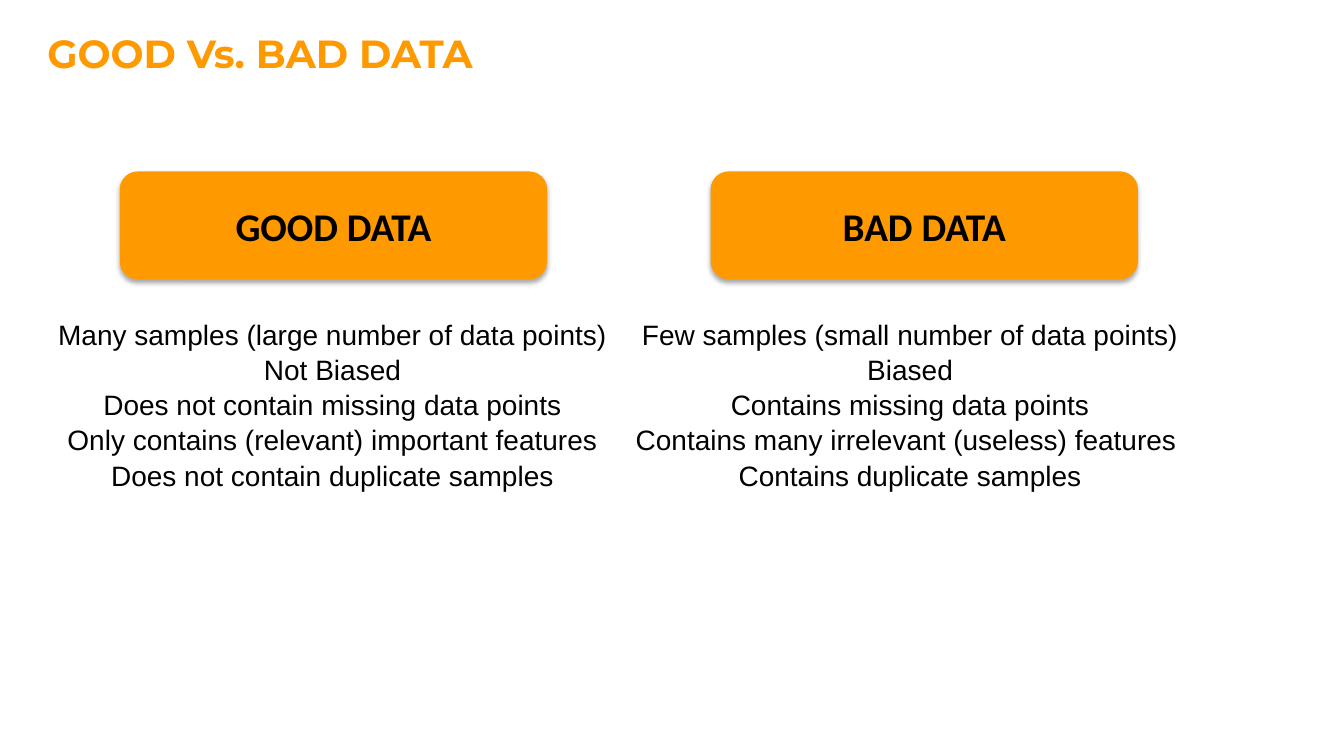
from lxml import etree
from pptx import Presentation
from pptx.dml.color import RGBColor
from pptx.enum.shapes import MSO_SHAPE
from pptx.enum.text import MSO_ANCHOR, MSO_AUTO_SIZE, PP_ALIGN
from pptx.oxml.ns import qn
from pptx.util import Cm, Pt

ROUNDED = MSO_SHAPE.ROUNDED_RECTANGLE
TOP, MIDDLE = MSO_ANCHOR.TOP, MSO_ANCHOR.MIDDLE
LEFT, CENTER = PP_ALIGN.LEFT, PP_ALIGN.CENTER
FIXED_SIZE = MSO_AUTO_SIZE.NONE
TWO_CONTENT_LAYOUT = 3

COLORS = {"accent": "FF9900", "text": "000000", "shadow": "000000"}

# heading, heading left, list left, list width (cm), points
COLUMNS = [
    ("GOOD DATA", 3.02, -0.18, 17.12, [
        "Many samples (large number of data points)",
        "Not Biased",
        "Does not contain missing data points",
        "Only contains (relevant) important features",
        "Does not contain duplicate samples",
    ]),
    ("BAD DATA", 17.91, 15.01, 15.85, [
        "Few samples (small number of data points)",
        "Biased",
        "Contains missing data points",
        "Contains many irrelevant (useless) features ",
        "Contains duplicate samples",
    ]),
]


def color(name):
    return RGBColor.from_string(COLORS[name])


def place(shape, left, top, width, height):
    shape.left, shape.top = Cm(left), Cm(top)
    shape.width, shape.height = Cm(width), Cm(height)


def style(paragraph, font_name, size, color_name, align, bold=False):
    paragraph.alignment = align
    font = paragraph.font
    font.name, font.size, font.bold = font_name, Pt(size), bold
    font.color.rgb = color(color_name)


def add_soft_shadow(shape):
    shape.shadow.inherit = False
    effects = shape._element.spPr.find(qn("a:effectLst"))
    shadow = etree.SubElement(
        effects, qn("a:outerShdw"), blurRad=str(Pt(3.5)), dist=str(Pt(2.2)),
        dir="5400000", rotWithShape="0")
    shade = etree.SubElement(shadow, qn("a:srgbClr"), val=COLORS["shadow"])
    etree.SubElement(shade, qn("a:alpha"), val="32000")


def fill_title(title, text):
    place(title, 0.94, 0.61, 27.31, 1.45)
    frame = title.text_frame
    frame.text = text
    frame.auto_size = FIXED_SIZE
    frame.vertical_anchor = TOP
    style(frame.paragraphs[0], "Montserrat", 28, "accent", LEFT, bold=True)


def add_heading(slide, text, left):
    heading = slide.shapes.add_shape(
        ROUNDED, Cm(left), Cm(4.32), Cm(10.77), Cm(2.72))
    heading.fill.solid()
    heading.fill.fore_color.rgb = color("accent")
    heading.line.fill.background()
    add_soft_shadow(heading)
    frame = heading.text_frame
    frame.text = text
    frame.vertical_anchor = MIDDLE
    style(frame.paragraphs[0], "Calibri", 28, "text", CENTER, bold=True)


def fill_list(body, points, left, width):
    place(body, left, 7.82, width, 4.52)
    frame = body.text_frame
    frame.text = "\n".join(points)
    frame.auto_size = FIXED_SIZE
    frame.vertical_anchor = TOP
    for paragraph in frame.paragraphs:
        properties = paragraph._p.get_or_add_pPr()
        properties.set("marL", "0")
        properties.set("indent", "0")
        etree.SubElement(properties, qn("a:buNone"))
        paragraph.space_before = Pt(0)
        paragraph.line_spacing = 1.05
        style(paragraph, "Arial", 20, "text", CENTER)


def main():
    deck = Presentation()
    deck.slide_width, deck.slide_height = Cm(33.87), Cm(19.05)
    slide = deck.slides.add_slide(deck.slide_layouts[TWO_CONTENT_LAYOUT])
    title, *bodies = slide.placeholders
    fill_title(title, "GOOD Vs. BAD DATA")
    for body, column in zip(bodies, COLUMNS):
        heading, heading_left, list_left, list_width, points = column
        add_heading(slide, heading, heading_left)
        fill_list(body, points, list_left, list_width)
    deck.save("out.pptx")


if __name__ == "__main__":
    main()
